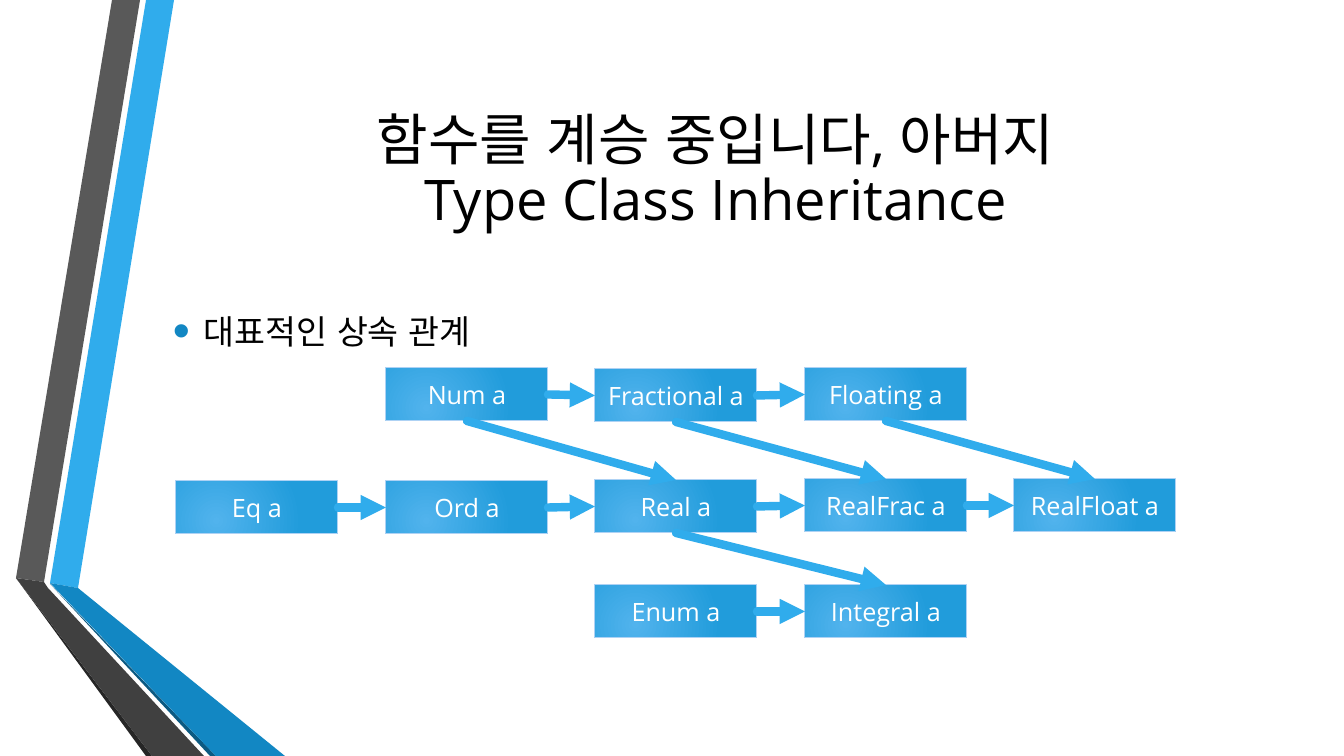
import pptx
import pptx.util
import pptx.dml.color
import pptx.enum.dml
import pptx.enum.lang
import pptx.enum.shapes
import pptx.enum.text
import pptx.oxml
import pptx.oxml.ns
from lxml import etree

PIXEL = 914400 / 100.8
FONT = "Open Sans"
COLORS = {
    "sky": "30ACEC", "gray": "595959", "black": "262626", "navy": "0C5A82",
    "blue": "1287C3", "charcoal": "404040", "text": "000000", "label": "FFFFFF",
    "box start": "51B3ED", "box end": "219CDB", "box border": "AED2F4",
}
COLORS = {name: pptx.dml.color.RGBColor.from_string(value) for name, value in COLORS.items()}
ANCHOR = pptx.enum.text.MSO_ANCHOR.MIDDLE
ALIGN = pptx.enum.text.PP_ALIGN


def px(*lengths):
    return [pptx.util.Emu(round(length * PIXEL)) for length in lengths]


def write(shape, text, size, color, align, inset=10):
    frame = shape.text_frame
    frame_format = {"word_wrap": True, "vertical_anchor": ANCHOR,
                    "margin_left": px(inset)[0], "margin_right": px(inset)[0]}
    for name, value in frame_format.items():
        setattr(frame, name, value)
    paragraph = frame.paragraphs[0]
    paragraph.text = text
    paragraph.alignment = align
    font_format = {"name": FONT, "size": pptx.util.Pt(size),
                   "language_id": pptx.enum.lang.MSO_LANGUAGE_ID.KOREAN}
    for run in paragraph.runs:
        for name, value in font_format.items():
            setattr(run.font, name, value)
        run.font.color.rgb = COLORS[color]
    return paragraph


presentation = pptx.Presentation()
presentation.slide_width, presentation.slide_height = px(1344, 756)
slide = presentation.slides.add_slide(presentation.slide_layouts[6])
shapes = slide.shapes

# Folded ribbons on the left edge
ribbons = [
    ("sky", [(50, 583), (78, 588), (174, 0), (146, 0)]),
    ("gray", [(140, 0), (112, 0), (16, 578), (44, 582)]),
    ("black", [(16, 578), (146, 756), (152, 756)]),
    ("navy", [(50, 584), (210, 756), (216, 756)]),
    ("blue", [(50, 583), (216, 756), (285, 756), (78, 588)]),
    ("charcoal", [(204, 756), (48, 588), (44, 582), (16, 578), (152, 756)]),
]
for color, points in ribbons:
    builder = shapes.build_freeform(*points[0], scale=PIXEL)
    builder.add_line_segments(points[1:], close=True)
    ribbon = builder.convert_to_shape()
    ribbon.shadow.inherit = False
    ribbon.fill.solid()
    ribbon.fill.fore_color.rgb = COLORS[color]
    ribbon.line.fill.background()

# Title
title = shapes.add_textbox(*px(163, 76, 1105, 193))
paragraph = write(title, "함수를 계승 중입니다, 아버지\vType Class Inheritance", 40, "text", ALIGN.CENTER)
paragraph.line_spacing = 0.9

# Bullet line
body = shapes.add_textbox(*px(163, 306, 1105, 50))
paragraph = write(body, "대표적인 상속 관계", 24, "text", ALIGN.LEFT)
properties = paragraph._p.get_or_add_pPr()
indent = px(31)[0]
properties.set("marL", str(indent))
properties.set("indent", str(-indent))
namespace = pptx.oxml.ns.nsdecls("a")
for bullet in (
    f'<a:buClr {namespace}><a:srgbClr val="{COLORS["blue"]}"/></a:buClr>',
    f'<a:buSzPct {namespace} val="145000"/>',
    f'<a:buFont {namespace} typeface="Arial"/>',
    f'<a:buChar {namespace} char="•"/>',
):
    properties.append(pptx.oxml.parse_xml(bullet))

# Type class boxes: column and top edge
classes = {
    "Num": (1, 368), "Fractional": (2, 369), "Floating": (3, 368),
    "Eq": (0, 481), "Ord": (1, 481), "Real": (2, 480),
    "RealFrac": (3, 479), "RealFloat": (4, 479),
    "Enum": (2, 585), "Integral": (3, 585),
}
boxes = {}
for name, (column, top) in classes.items():
    left = round(176.4 + 209.5 * column)
    box = shapes.add_shape(pptx.enum.shapes.MSO_SHAPE.RECTANGLE, *px(left, top, 162, 53))
    box.shadow.inherit = False
    box.fill.gradient()
    for stop, color in zip(box.fill.gradient_stops, ("box start", "box end")):
        stop.color.rgb = COLORS[color]
    linear = box._element.spPr.find(".//" + pptx.oxml.ns.qn("a:lin"))
    linear.getparent().replace(linear, pptx.oxml.parse_xml(
        f'<a:path {namespace} path="circle">'
        '<a:fillToRect l="50000" t="100000" r="100000" b="50000"/></a:path>'))
    box.line.color.rgb = COLORS["box border"]
    box.line.width = pptx.util.Pt(0.75)
    write(box, f"{name} a", 18, "label", ALIGN.CENTER, inset=5)
    boxes[name] = box

# Inheritance arrows: connection sites run top, left, bottom, right
TOP, LEFT, BOTTOM, RIGHT = range(4)
across = [("Num", "Fractional"), ("Fractional", "Floating"), ("Eq", "Ord"), ("Ord", "Real"),
          ("Real", "RealFrac"), ("RealFrac", "RealFloat"), ("Enum", "Integral")]
down = [("Num", "Real"), ("Fractional", "RealFrac"), ("Floating", "RealFloat"),
        ("Real", "Integral")]
for pairs, start, end in ((across, RIGHT, LEFT), (down, BOTTOM, TOP)):
    for parent, child in pairs:
        arrow = shapes.add_connector(pptx.enum.shapes.MSO_CONNECTOR.STRAIGHT, 0, 0, 0, 0)
        arrow.begin_connect(boxes[parent], start)
        arrow.end_connect(boxes[child], end)
        arrow.line.color.rgb = COLORS["sky"]
        arrow.line.width = pptx.util.Pt(6)
        line = arrow.line._get_or_add_ln()
        line.set("cap", "rnd")
        etree.SubElement(line, pptx.oxml.ns.qn("a:tailEnd"), type="triangle")
        etree.SubElement(arrow._element.spPr, pptx.oxml.ns.qn("a:effectLst"))

presentation.save("out.pptx")
